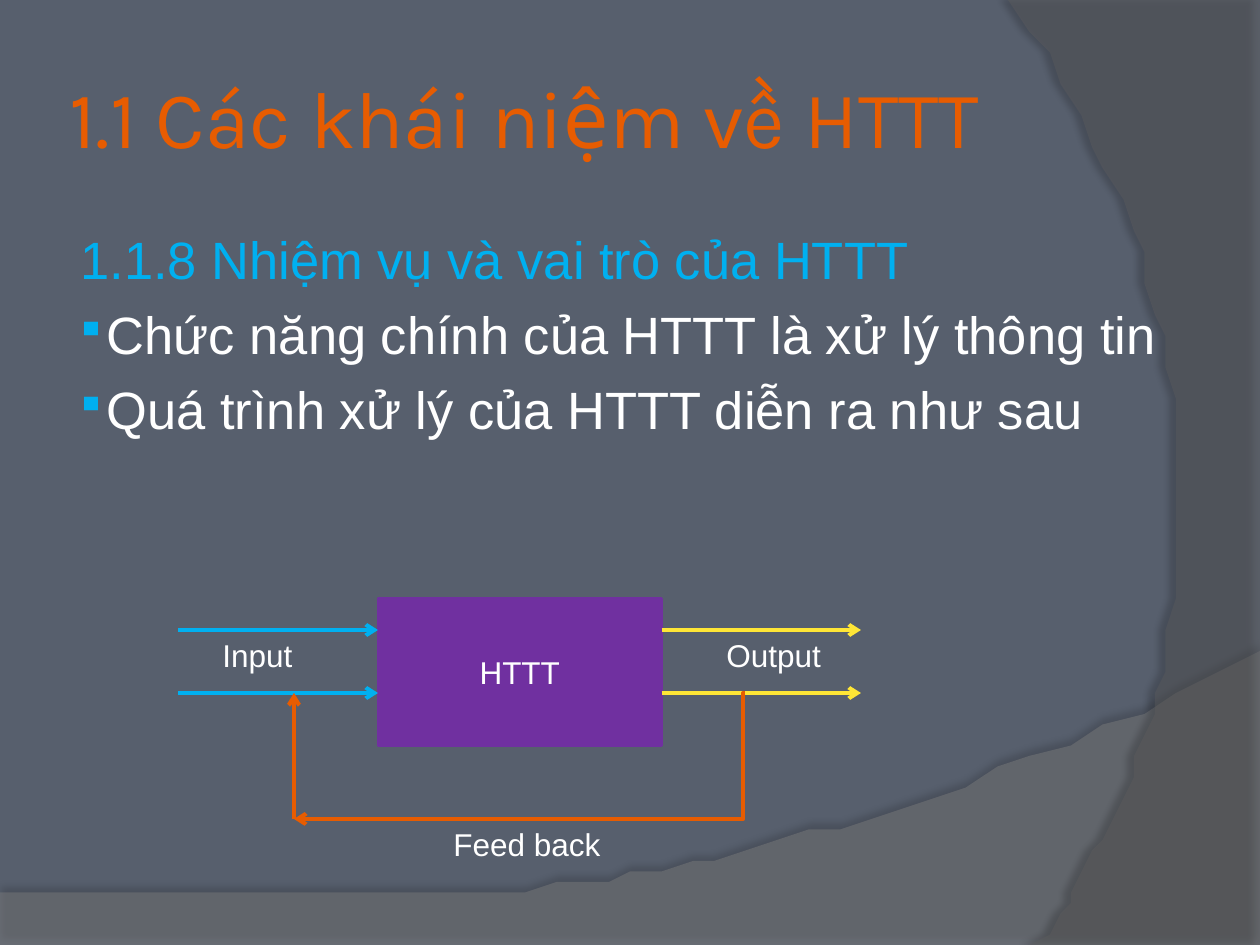
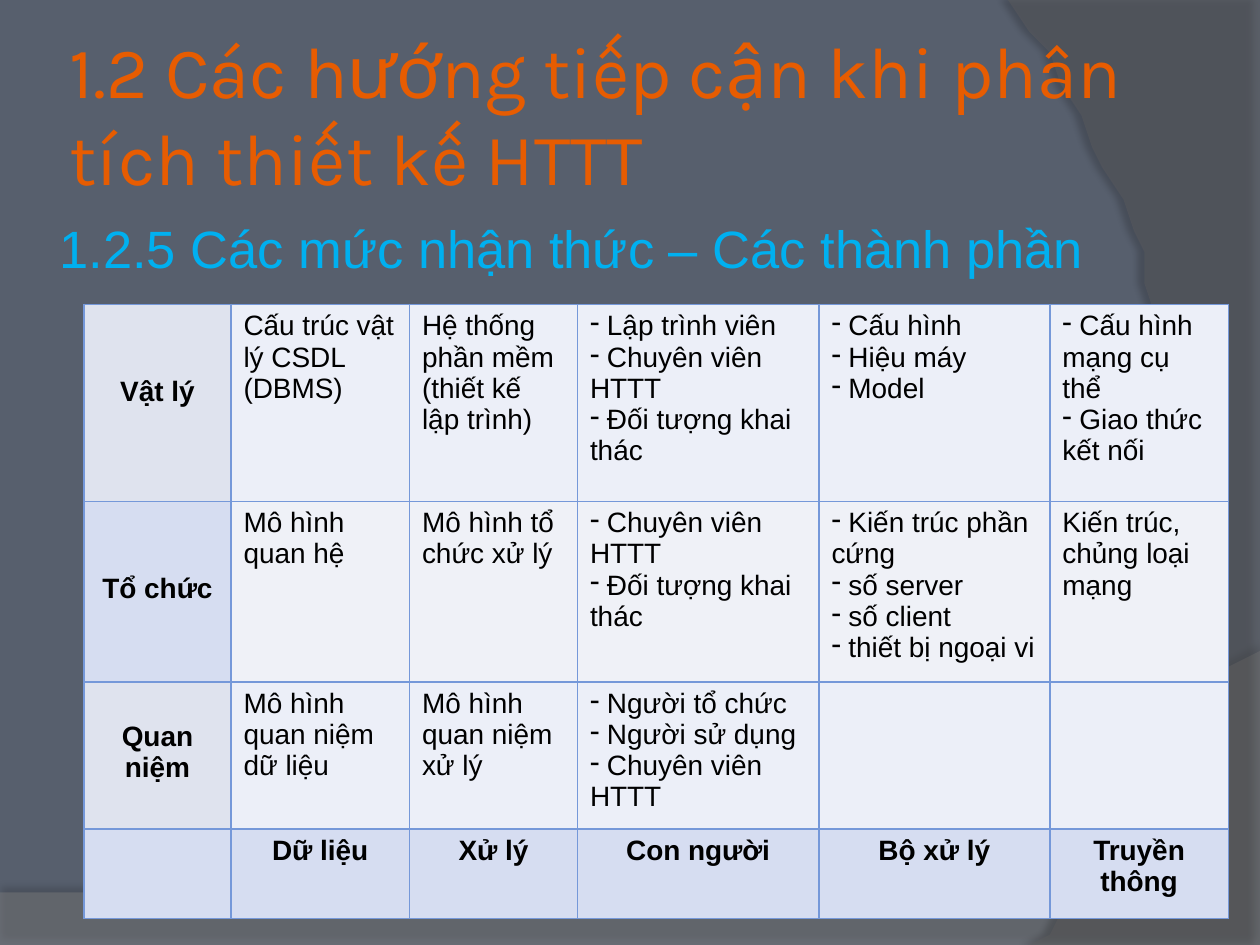
from pptx import Presentation, util as u
from pptx.dml.color import RGBColor
from pptx.enum import shapes, text
from pptx.oxml import parse_xml
from pptx.oxml.ns import nsdecls, qn

SLATE = RGBColor(0x57, 0x5F, 0x6D)
GREY = RGBColor(0x7F, 0x7F, 0x7F)
DARK = RGBColor(0x5E, 0x5E, 0x5E)
ORANGE = RGBColor(0xE7, 0x5C, 0x01)
BLUE = RGBColor(0x00, 0xB0, 0xF0)
PURPLE = RGBColor(0x70, 0x30, 0xA0)
YELLOW = RGBColor(0xFF, 0xE6, 0x36)
WHITE = RGBColor(0xFF, 0xFF, 0xFF)
BLACK = RGBColor(0, 0, 0)
BORDER = RGBColor(0x75, 0x98, 0xD9)
# (first column, other columns) of odd and even table rows
BANDS = [(RGBColor(0xDF, 0xE3, 0xEE), RGBColor(0xEC, 0xEF, 0xF8)),
         (RGBColor(0xD6, 0xDD, 0xF1), RGBColor(0xEF, 0xF1, 0xF7))]

COLS, ROWS = 120, 90
LEFT, CENTER = text.PP_ALIGN.LEFT, text.PP_ALIGN.CENTER


def node(xml):
    """Parse one a: element given without its namespace."""
    tag, rest = xml[:xml.index(" ")], xml[xml.index(" "):]
    return parse_xml(f"<a:{tag} {nsdecls('a')}{rest}")


def curve(a, b, c, d, steps=40):
    """Points of a cubic Bezier curve from a to d."""
    for i in range(steps + 1):
        t = i / steps
        s = 1 - t
        yield tuple(s**3 * p + 3 * s * s * t * q + 3 * s * t * t * r + t**3 * e
                    for p, q, r, e in zip(a, b, c, d))


def indent(para, left, first):
    props = para._p.get_or_add_pPr()
    props.set("marL", str(u.Inches(left)))
    props.set("indent", str(u.Inches(first)))


def bullet(para, sign, color=None, size=100):
    props = para._p.get_or_add_pPr()
    if color is not None:
        props.append(node(f'buClr ><a:srgbClr val="{color}"/></a:buClr>'))
    props.append(node(f'buSzPct val="{size * 1000}"/>'))
    props.append(node(f'buChar char="{sign}"/>'))


class Deck:
    def __init__(self):
        self.show = Presentation()
        self.show.slide_width, self.show.slide_height = u.Inches(10), u.Inches(7.5)
        self.unit = self.show.slide_width / COLS
        back = self.show.slide_master.background.fill
        back.solid()
        back.fore_color.rgb = SLATE

    def grid(self, *cells):
        return [round(c * self.unit) for c in cells]

    def font(self, para, size, color, name="Arial", bold=False):
        font = para.font
        font.size, font.name, font.bold = u.Pt(size), name, bold
        font.color.rgb = color

    def start(self, title, size, box):
        """Begin a slide with its backdrop and title."""
        self.slide = self.show.slides.add_slide(self.show.slide_layouts[5])
        self.shapes = self.slide.shapes
        self.swoop([(0, 84.6), (0, 90), (120, 90)],
                   [(120, 62.4), (67.1, 87.5), (46.9, 86.3), (0, 84.6)],
                   GREY, 45, (35, 3.5, 270))
        self.swoop([(120, 0), (120, 90)],
                   [(98.5, 90), (112.2, 74.3), (122.2, 36), (96, 0)],
                   DARK, 40, (45, 4, 180))
        head = self.shapes.title
        self.shapes._spTree.append(head._element)
        head.left, head.top, head.width, head.height = self.grid(*box)
        frame = head.text_frame
        frame.text = title
        frame.auto_size = text.MSO_AUTO_SIZE.NONE
        frame.vertical_anchor = text.MSO_ANCHOR.MIDDLE
        frame.margin_left = frame.margin_right = u.Inches(0.05)
        para = frame.paragraphs[0]
        para.alignment = LEFT
        self.font(para, size, ORANGE, "Karla")

    def swoop(self, edge, bend, color, alpha, shade):
        """Translucent outline closed by a curve; shade is opacity, distance, angle."""
        first, *rest = edge + list(curve(*bend))
        pen = self.shapes.build_freeform(*first, scale=self.unit)
        pen.add_line_segments(rest, close=True)
        shape = pen.convert_to_shape()
        shape.fill.solid()
        shape.fill.fore_color.rgb = color
        shape.line.fill.background()
        props = shape._element.spPr
        props.find(".//" + qn("a:srgbClr")).append(node(f'alpha val="{alpha * 1000}"/>'))
        dark, far, turn = shade
        props.append(node(
            f'effectLst ><a:outerShdw blurRad="{u.Pt(4)}" dist="{u.Pt(far)}"'
            f' dir="{turn * 60000}" rotWithShape="0"><a:srgbClr val="{BLACK}">'
            f'<a:alpha val="{dark * 1000}"/></a:srgbClr></a:outerShdw></a:effectLst>'))

    def body(self, box, head, points=()):
        frame = self.shapes.add_textbox(*self.grid(*box)).text_frame
        frame.word_wrap = True
        frame.text = "\n".join([head, *points])
        for i, para in enumerate(frame.paragraphs):
            para.space_before = u.Pt(7)
            self.font(para, 30, WHITE if i else BLUE)
            indent(para, 0 if i else 0.46, -0.42)
            if i:
                para.alignment = text.PP_ALIGN.JUSTIFY
                bullet(para, "▪", BLUE, 80)

    def block(self, label, box, color):
        shape = self.shapes.add_shape(shapes.MSO_SHAPE.RECTANGLE, *self.grid(*box))
        shape.shadow.inherit = False
        shape.fill.solid()
        shape.fill.fore_color.rgb = shape.line.color.rgb = color
        shape.line.width = u.Pt(1.5)
        shape.text_frame.text = label
        shape.text_frame.vertical_anchor = text.MSO_ANCHOR.MIDDLE
        para = shape.text_frame.paragraphs[0]
        para.alignment = CENTER
        self.font(para, 18, WHITE)

    def arrow(self, ends, color, bend=None):
        """Arrow along ends; bend is the share of the width where an elbow turns."""
        kind = shapes.MSO_CONNECTOR
        link = self.shapes.add_connector(
            kind.STRAIGHT if bend is None else kind.ELBOW, *self.grid(*ends))
        link.line.color.rgb = color
        link.line.width = u.Pt(2.25)
        link.line._get_or_add_ln().append(node('tailEnd type="arrow"/>'))
        props = link._element.spPr
        props.append(node("effectLst />"))
        if bend is not None:
            props.find(".//" + qn("a:avLst")).append(
                node(f'gd name="adj1" fmla="val {round(bend * 100000)}"/>'))

    def label(self, words, box):
        frame = self.shapes.add_textbox(*self.grid(*box)).text_frame
        frame.word_wrap = False
        frame.auto_size = text.MSO_AUTO_SIZE.SHAPE_TO_FIT_TEXT
        frame.text = words
        self.font(frame.paragraphs[0], 18, WHITE)

    def cell(self, cell, words, fill, bold, drop):
        """Fill one cell; drop is the number of lines its text is moved down."""
        props = cell._tc.get_or_add_tcPr()
        for side in "LRTB":
            props.append(node(f'ln{side} w="{u.Pt(1)}"><a:solidFill><a:srgbClr val="{BORDER}"/>'
                              f'</a:solidFill></a:ln{side}>'))
        cell.fill.solid()
        cell.fill.fore_color.rgb = fill
        cell.margin_top = u.Inches(0.05 + 0.26 * drop)
        cell.text = words.replace("- ", " ")
        for para, line in zip(cell.text_frame.paragraphs, words.split("\n")):
            para.alignment = CENTER if bold else LEFT
            self.font(para, 16, BLACK, bold=bold)
            if line.startswith("- "):
                indent(para, 0, 0)
                bullet(para, "-")

    def table(self, spot, wide, high, data, drops):
        box = self.grid(*spot, sum(wide), sum(high))
        table = self.shapes.add_table(len(high), len(wide), *box).table
        table.first_row = table.horz_banding = False
        for col, size in zip(table.columns, self.grid(*wide)):
            col.width = size
        for row, size in zip(table.rows, self.grid(*high)):
            row.height = size
        last = len(data) - 1
        for r, line in enumerate(data):
            side, main = BANDS[r % 2]
            for c, words in enumerate(line):
                edge = c == 0 or r == last
                self.cell(table.cell(r, c), words, side if edge else main,
                          edge, 0 if c else drops[r])


def flow(deck):
    deck.start("1.1 Các khái niệm về HTTT", 46, (6, 3.6, 98, 15))
    deck.body((6, 21, 108, 24), "1.1.8 Nhiệm vụ và vai trò của HTTT",
              ["Chức năng chính của HTTT là xử lý thông tin",
               "Quá trình xử lý của HTTT diễn ra như sau"])
    deck.block("HTTT", (36, 57, 27, 14), PURPLE)
    for left, color in ((17, BLUE), (63, YELLOW)):
        for row in (60, 66):
            deck.arrow((left, row, left + 19, row), color)
    deck.arrow((71, 66, 28, 78), ORANGE, bend=0.005)
    deck.arrow((28, 78, 28, 66), ORANGE)
    deck.label("Input", (20, 60, 9.1, 4.8))
    deck.label("Output", (68, 60, 11.5, 4.8))
    deck.label("Feed back", (42, 78, 16.6, 4.8))


def levels(deck):
    deck.start("1.2 Các hướng tiếp cận khi phân tích thiết kế HTTT", 41.4,
               (6, 3.6, 111, 14.4))
    deck.body((4, 20, 115, 68), "1.2.5 Các mức nhận thức – Các thành phần")
    data = [
        ["Vật lý", "Cấu trúc vật lý CSDL (DBMS)",
         "Hệ thống phần mềm (thiết kế lập trình)",
         "- Lập trình viên\n- Chuyên viên HTTT\n- Đối tượng khai thác",
         "- Cấu hình\n- Hiệu máy\n- Model",
         "- Cấu hình mạng cụ thể\n- Giao thức kết nối"],
        ["Tổ chức", "Mô hình quan hệ", "Mô hình tổ chức xử lý",
         "- Chuyên viên HTTT\n- Đối tượng khai thác",
         "- Kiến trúc phần cứng\n- số server\n- số client\n- thiết bị ngoại vi",
         "Kiến trúc, chủng loại mạng"],
        ["Quan niệm", "Mô hình quan niệm dữ liệu", "Mô hình quan niệm xử lý",
         "- Người tổ chức\n- Người sử dụng\n- Chuyên viên HTTT", "", ""],
        ["", "Dữ liệu", "Xử lý", "Con người", "Bộ xử lý", "Truyền thông"],
    ]
    deck.table((8, 29), (14, 17, 16, 23, 22, 17), (18.75, 16.95, 13.75, 8.55),
               data, drops=(2, 2, 1, 0))


def main():
    deck = Deck()
    flow(deck)
    levels(deck)
    deck.show.save("out.pptx")


if __name__ == "__main__":
    main()
